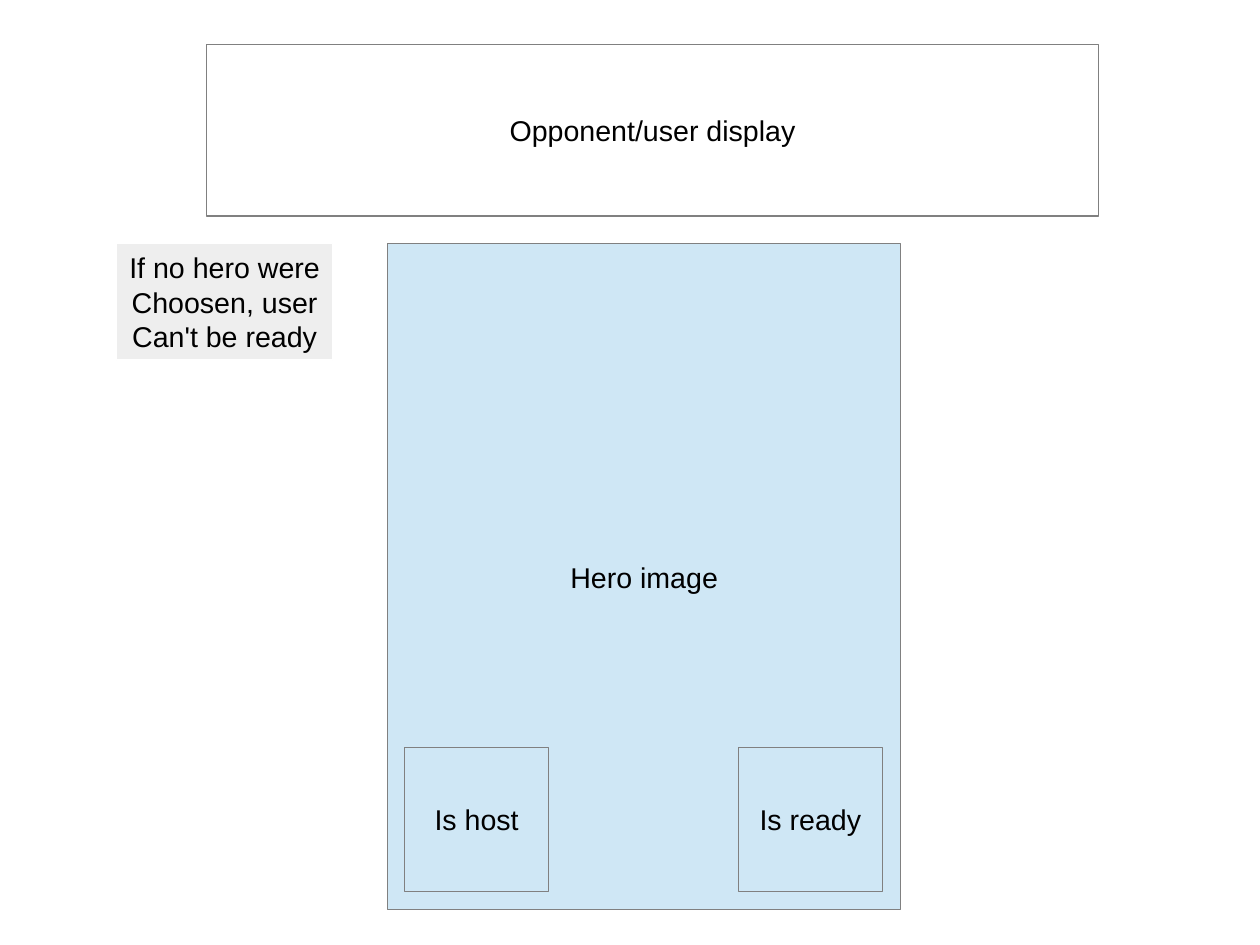
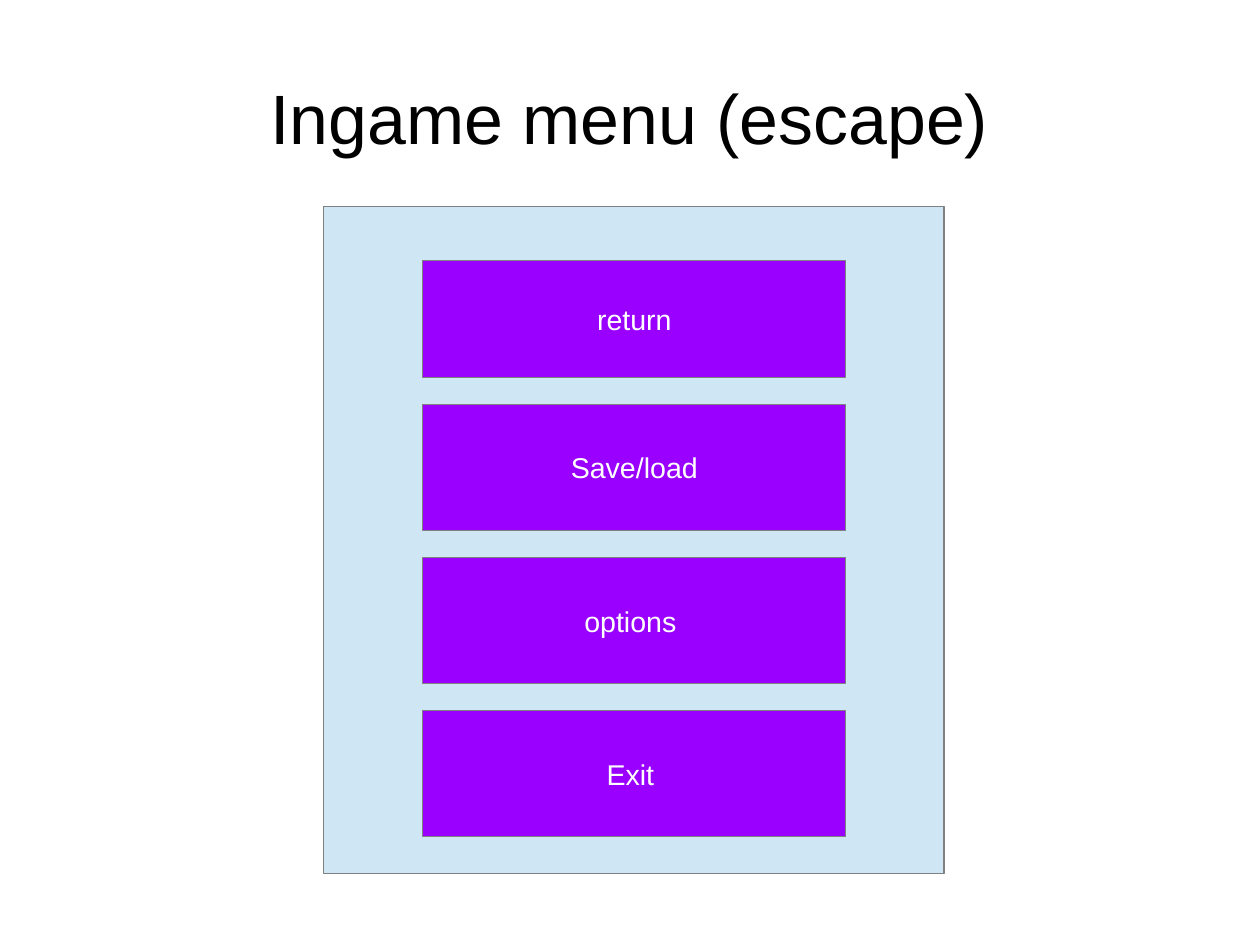
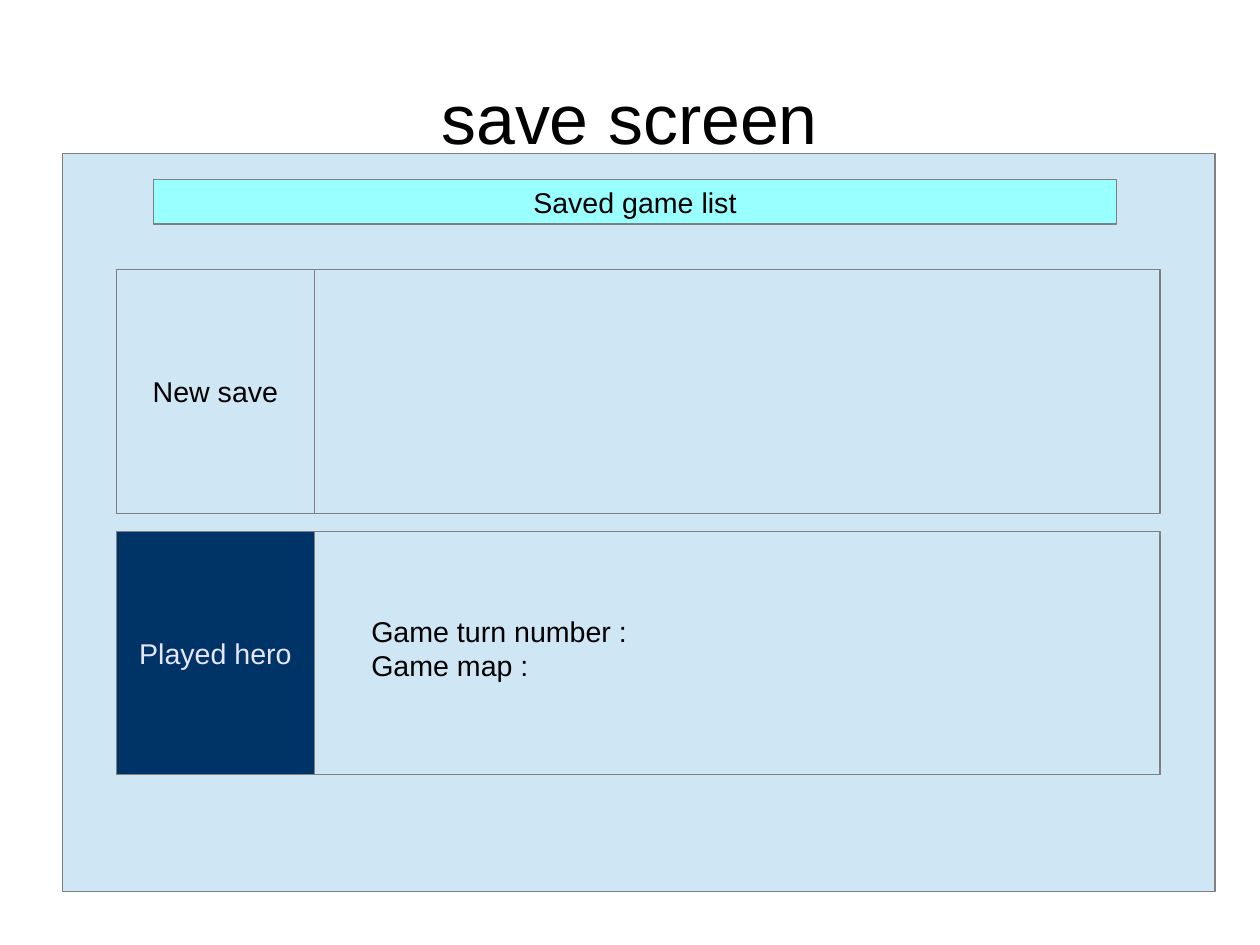
"""Build three wireframes of game screens: hero lobby, in-game menu and save screen."""
from pptx import Presentation
from pptx import util as u
from pptx.dml import color
from pptx.enum import shapes, text

FONT, BODY_SIZE, TITLE_SIZE = "Arial", 18, 44
BLACK, WHITE, GREY = "000000", "FFFFFF", "808080"
PALE, NOTE, PURPLE = "CFE7F5", "EEEEEE", "9900FF"
CYAN, NAVY, LAVENDER = "99FFFF", "003366", "E6E6FF"
TITLE_AREA = (0.55, 0.33, 9.92, 1.38)

HERO_AREA = (3.39, 2.13, 4.49, 5.83)
HERO_LABEL = ["Hero image"]
STATUSES = [("Is ready", 6.46), ("Is host", 3.54)]
STATUS_TOP, STATUS_SIDE = 6.54, 1.26
READY_RULE = ["If no hero were ", "Choosen, user ", "Can't be ready"]
RULE_AREA = (1.02, 2.13, 1.89, 1.02)
OPPONENT_LABEL = ["Opponent/user display"]
OPPONENT_AREA = (1.81, 0.39, 7.8, 1.5)

MENU_TITLE = "Ingame menu (escape)"
MENU_AREA = (2.83, 1.81, 5.43, 5.83)
MENU_ENTRIES = [("return", 1.02), ("Save/load", 1.1), ("options ", 1.1), ("Exit ", 1.1)]
ENTRY_LEFT, ENTRY_TOP, ENTRY_WIDTH, ENTRY_GAP = 3.7, 2.28, 3.7, 0.24

SAVE_TITLE = "save screen"
SAVE_AREA = (0.55, 1.34, 10.08, 6.46)
LIST_HEADING = ["Saved game list"]
HEADING_AREA = (1.34, 1.57, 8.43, 0.39)
SAVES = [("New save", PALE, BLACK), ("Played hero", NAVY, LAVENDER)]
SAVE_LEFT, SAVE_TOP, SAVE_WIDTH, SAVE_HEIGHT = 1.02, 2.36, 9.13, 2.13
SAVE_STEP, HERO_WIDTH = 2.29, 1.73
GAME_DETAILS = ["Game turn number\u00a0:", "Game map\u00a0:"]
DETAILS_AREA = (3.15, 5.32, 6.69, 0.66)


def rgb(code):
    return color.RGBColor.from_string(code)


def inches(area):
    return [u.Inches(length) for length in area]


def write(frame, lines, size=BODY_SIZE, ink=BLACK, align=text.PP_ALIGN.CENTER):
    frame.word_wrap = True
    for index, line in enumerate(lines):
        paragraph = frame.add_paragraph() if index else frame.paragraphs[0]
        paragraph.alignment = align
        run = paragraph.add_run()
        run.text = line
        run.font.name = FONT
        run.font.size = u.Pt(size)
        run.font.color.rgb = rgb(ink)


def add_box(slide, area, fill=PALE, lines=(), ink=BLACK, outline=GREY):
    box = slide.shapes.add_shape(shapes.MSO_SHAPE.RECTANGLE, *inches(area))
    box.shadow.inherit = False
    box.fill.solid()
    box.fill.fore_color.rgb = rgb(fill)
    box.line.color.rgb = rgb(outline)
    box.line.width = u.Pt(0)
    box.text_frame.vertical_anchor = text.MSO_ANCHOR.MIDDLE
    write(box.text_frame, lines, ink=ink)


def add_titled_slide(deck, heading):
    slide = deck.slides.add_slide(deck.slide_layouts[5])
    title = slide.shapes.title
    title.left, title.top, title.width, title.height = inches(TITLE_AREA)
    frame = title.text_frame
    frame.margin_left = frame.margin_right = frame.margin_top = frame.margin_bottom = 0
    frame.vertical_anchor = text.MSO_ANCHOR.MIDDLE
    frame.auto_size = text.MSO_AUTO_SIZE.NONE
    write(frame, [heading], TITLE_SIZE)
    return slide


def build_lobby(deck):
    slide = deck.slides.add_slide(deck.slide_layouts[6])
    add_box(slide, HERO_AREA, lines=HERO_LABEL)
    for status, left in STATUSES:
        add_box(slide, (left, STATUS_TOP, STATUS_SIDE, STATUS_SIDE), lines=[status])
    add_box(slide, RULE_AREA, NOTE, READY_RULE, outline=WHITE)
    add_box(slide, OPPONENT_AREA, WHITE, OPPONENT_LABEL)


def build_menu(deck):
    slide = add_titled_slide(deck, MENU_TITLE)
    add_box(slide, MENU_AREA)
    top = ENTRY_TOP
    for entry, height in MENU_ENTRIES:
        add_box(slide, (ENTRY_LEFT, top, ENTRY_WIDTH, height), PURPLE, [entry], WHITE)
        top += height + ENTRY_GAP


def build_save_screen(deck):
    slide = add_titled_slide(deck, SAVE_TITLE)
    add_box(slide, SAVE_AREA)
    add_box(slide, HEADING_AREA, CYAN, LIST_HEADING)
    for row, (label, fill, ink) in enumerate(SAVES):
        top = SAVE_TOP + row * SAVE_STEP
        add_box(slide, (SAVE_LEFT, top, SAVE_WIDTH, SAVE_HEIGHT))
        add_box(slide, (SAVE_LEFT, top, HERO_WIDTH, SAVE_HEIGHT), fill, [label], ink)
    details = slide.shapes.add_textbox(*inches(DETAILS_AREA))
    write(details.text_frame, GAME_DETAILS, align=text.PP_ALIGN.LEFT)


deck = Presentation()
deck.slide_width = u.Cm(28)
deck.slide_height = u.Cm(21)
build_lobby(deck)
build_menu(deck)
build_save_screen(deck)
deck.save("out.pptx")
